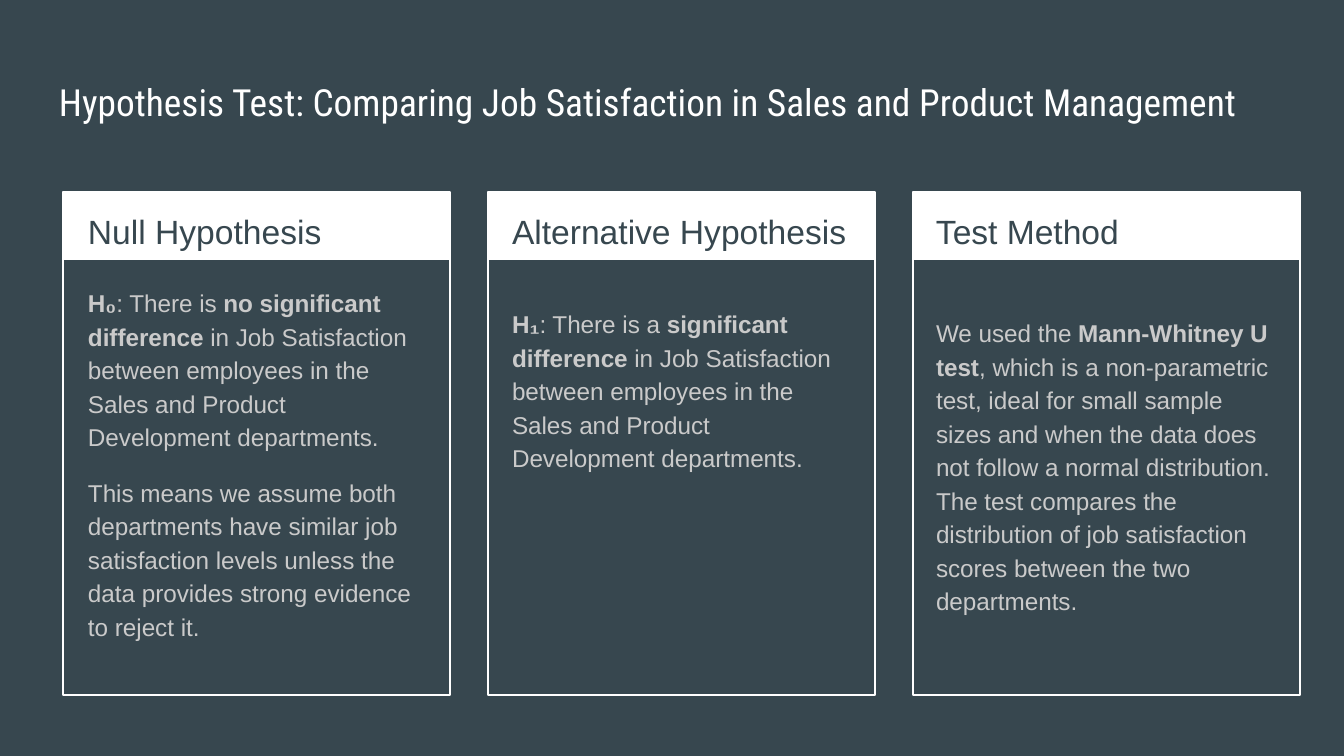
"""Build a slide with three hypothesis-test panels."""
from pptx import Presentation
from pptx.dml.color import RGBColor as Rgb
from pptx.enum.shapes import MSO_SHAPE as Shape
from pptx.enum.text import MSO_ANCHOR as Anchor, MSO_AUTO_SIZE as Fit, PP_ALIGN as Align
from pptx.oxml.ns import qn
from pptx.util import Emu, Pt
from lxml.etree import SubElement

TITLE = "Hypothesis Test: Comparing Job Satisfaction in Sales and Product Management"
SCOPE = (" in Job Satisfaction between employees in the Sales and Product "
         "Development departments.")
PANELS = [
    {"head": "Null Hypothesis", "drop": 0, "body": [
        [("H₀", True), (": There is ", False),
         ("no significant difference", True), (SCOPE, False)],
        [("This means we assume both departments have similar job satisfaction "
          "levels unless the data provides strong evidence to reject it.", False)]]},
    {"head": "Alternative Hypothesis", "drop": 21, "body": [
        [("H₁", True), (": There is a ", False),
         ("significant difference", True), (SCOPE, False)]]},
    {"head": "Test Method", "drop": 30, "body": [
        [("We used the ", False), ("Mann-Whitney U test", True),
         (", which is a non-parametric test, ideal for small sample sizes and when "
          "the data does not follow a normal distribution. The test compares the "
          "distribution of job satisfaction scores between the two departments.",
          False)]]},
]
COLORS = {"slate": "37474F", "white": "FFFFFF", "gray": "CACACA"}
LEFT, TOP, WIDE, STEP = 63, 192, 387, 425
TEXT_LEFT, TEXT_STEP = 75, 424
PAD = 13


def px(n):
    return Emu(round(n * 914400 / 134.4))


def color(name):
    return Rgb.from_string(COLORS[name])


def place(item, *rect):
    item.left, item.top, item.width, item.height = map(px, rect)


def write(box, paras, font, size, tint, lines=1.0, gap=0, drop=0):
    frame = box.text_frame
    frame.word_wrap, frame.auto_size = True, Fit.NONE
    frame.vertical_anchor = Anchor.TOP
    frame.margin_left = frame.margin_right = frame.margin_bottom = px(PAD)
    frame.margin_top = px(PAD + drop)
    for i, runs in enumerate(paras):
        para = frame.add_paragraph() if i else frame.paragraphs[0]
        para.alignment, para.line_spacing = Align.LEFT, lines
        para.space_before, para.space_after = Pt(gap if i else 0), Pt(0)
        para.font.name, para.font.size = font, Pt(size)
        para.font.color.rgb = color(tint)
        props = para._p.get_or_add_pPr()
        props.set("marL", "0")
        props.set("indent", "0")
        mark = SubElement(props, qn("a:buNone"))
        props.find(qn("a:defRPr")).addprevious(mark)
        for text, bold in runs:
            run = para.add_run()
            run.text, run.font.bold = text, bold
            run.font.name, run.font.size = font, Pt(size)
            run.font.color.rgb = color(tint)


def add_rect(slide, left, high, fill=None, line=None):
    rect = slide.shapes.add_shape(Shape.RECTANGLE, *map(px, (left, TOP, WIDE, high)))
    rect.shadow.inherit = False
    if fill:
        rect.fill.solid()
        rect.fill.fore_color.rgb = color(fill)
    else:
        rect.fill.background()
    if line:
        rect.line.color.rgb, rect.line.width = color(line), Pt(0.75)
    else:
        rect.line.fill.background()


def main():
    deck = Presentation()
    deck.slide_width, deck.slide_height = px(1344), px(756)
    slide = deck.slides.add_slide(deck.slide_layouts.get_by_name("Comparison"))
    slide.background.fill.solid()
    slide.background.fill.fore_color.rgb = color("slate")

    title, *boxes = [p for p in slide.placeholders if p.placeholder_format.idx < 10]
    place(title, 46, 66, 1253, 85)
    write(title, [[(TITLE, False)]], "Roboto Condensed", 20, "white")

    while len(boxes) < 2 * len(PANELS):
        boxes.append(slide.shapes.add_textbox(0, 0, 0, 0))
    for i, panel in enumerate(PANELS):
        left = LEFT + i * STEP
        add_rect(slide, left, 68, fill="white")
        add_rect(slide, left, 503, line="white")
        head, body = boxes[2 * i:2 * i + 2]
        start = TEXT_LEFT + i * TEXT_STEP
        place(head, start, TOP, 367, 67)
        place(body, start, 271, 364, 411)
        write(head, [[(panel["head"], False)]], "Arial", 18, "slate", 1.15)
        write(body, panel["body"], "Arial", 13, "gray", 1.15, 12, panel["drop"])
        for box in (head, body):
            slide.shapes._spTree.append(box._element)
    deck.save("out.pptx")


if __name__ == "__main__":
    main()
